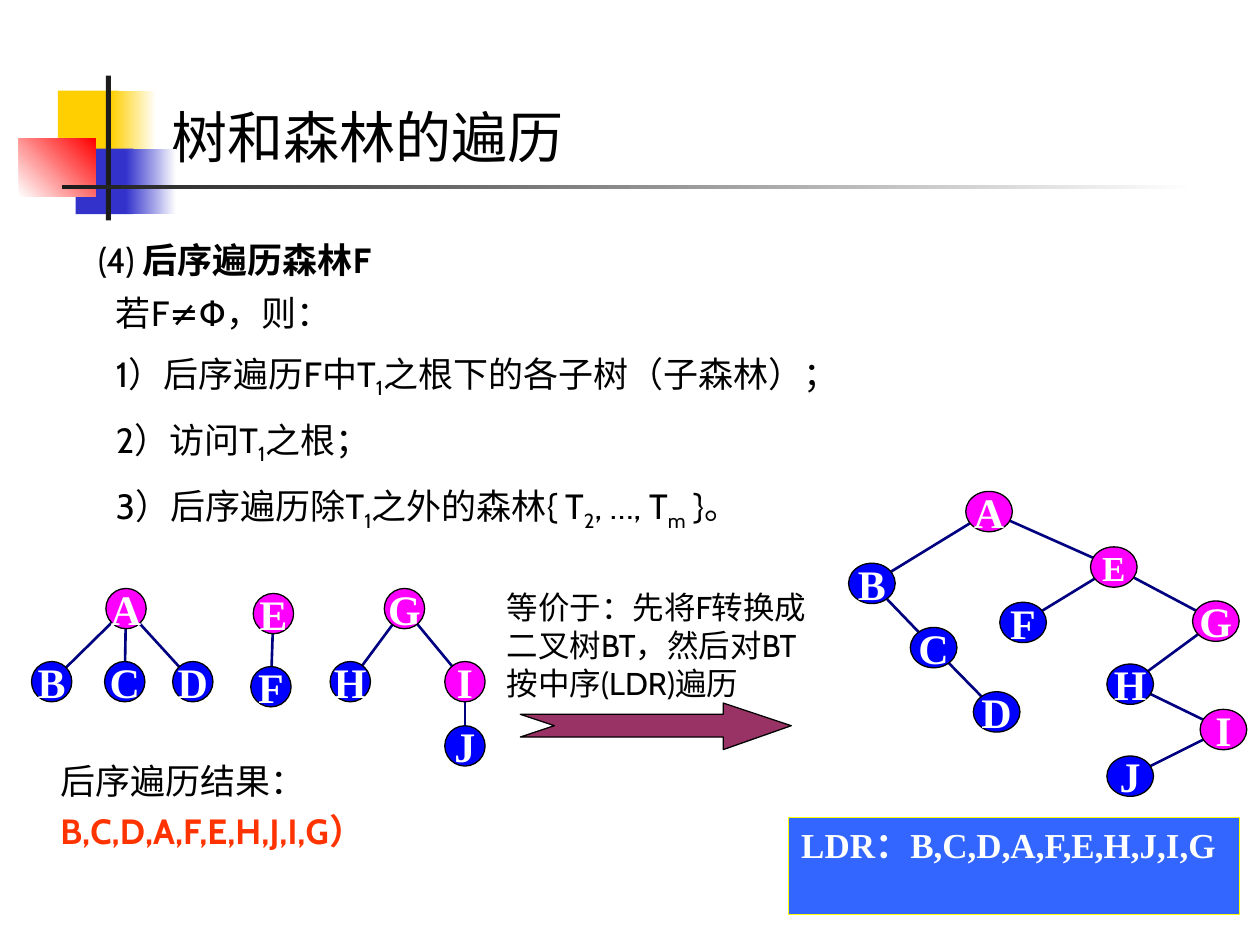
"""Build the slide on post-order traversal of a forest."""
import pptx
import pptx.util
import pptx.dml.color
import pptx.enum.shapes
import pptx.enum.text
import pptx.oxml.ns
import lxml.etree

Inches = pptx.util.Inches
Pt = pptx.util.Pt
MSO = pptx.enum.shapes.MSO_SHAPE
PP = pptx.enum.text.PP_ALIGN
ANCHOR = pptx.enum.text.MSO_ANCHOR


def rgb(value):
    """Return the colour of a hex string."""
    return pptx.dml.color.RGBColor.from_string(value)


def add_run(p, text, size, font="Cabin", color="000000", bold=False, sub=False):
    """Add one formatted run to a paragraph."""
    r = p.add_run()
    r.text = text
    r.font.size = Pt(size)
    r.font.name = font
    r.font.bold = bold
    r.font.color.rgb = rgb(color)
    if sub:
        r.font._element.set("baseline", "-25000")


prs = pptx.Presentation()
prs.slide_width, prs.slide_height = Inches(10), Inches(7.5)
slide = prs.slides.add_slide(prs.slide_layouts[1])
shapes = slide.shapes
title, body = slide.placeholders

decor = [
    (0.46, 0.72, 0.48, 0.52, "FFCF01", None, 0),
    (0.88, 0.72, 0.36, 0.52, "FFCF01", "FFFFFF", 0),
    (0.6, 1.18, 0.46, 0.52, "3333CC", None, 0),
    (1, 1.18, 0.4, 0.52, "3333CC", "FFFFFF", 0),
    (0.15, 1.1, 0.61, 0.46, "FFFFFF", "FF0000", 45),
    (0.84, 0.6, 0.04, 1.15, "1C1C1C", None, 0),
    (0.49, 1.47, 9, 0.03, "1C1C1C", "FFFFFF", 0),
]
for x, y, w, h, start, end, angle in decor:
    sp = shapes.add_shape(MSO.RECTANGLE, Inches(x), Inches(y), Inches(w), Inches(h))
    sp.shadow.inherit = False
    sp.line.fill.background()
    if end:
        sp.fill.gradient()
        sp.fill.gradient_angle = angle
        for stop, color, pos in zip(sp.fill.gradient_stops, (start, end), (0, 1)):
            stop.color.rgb = rgb(color)
            stop.position = pos
    else:
        sp.fill.solid()
        sp.fill.fore_color.rgb = rgb(start)

for sp, box in ((title, (1.26, 0.76, 8.74, 0.64)), (body, (0.82, 2.2, 8.69, 2.07))):
    sp.left, sp.top, sp.width, sp.height = [Inches(v) for v in box]
    sp.text_frame.auto_size = pptx.enum.text.MSO_AUTO_SIZE.NONE
    sp.text_frame.vertical_anchor = ANCHOR.TOP
p = title.text_frame.paragraphs[0]
p.alignment = PP.LEFT
add_run(p, "树和森林的遍历", 32, "Noto Sans CJK JP")

steps = [
    ["若F≠Φ，则："],
    ["1）后序遍历F中T", "1", "之根下的各子树（子森林）；"],
    ["2）访问T", "1", "之根；"],
    ["3）后序遍历除T", "1", "之外的森林{ T", "2", ", …, T", "m", " }。"],
]
tf = body.text_frame
for i, parts in enumerate(steps):
    p = tf.add_paragraph() if i else tf.paragraphs[0]
    pPr = p._p.get_or_add_pPr()
    pPr.set("marL", "0")
    pPr.set("indent", "0")
    lxml.etree.SubElement(pPr, pptx.oxml.ns.qn("a:buNone"))
    p.line_spacing = 1.2
    p.space_before = Pt(5 if i else 0)
    for j, part in enumerate(parts):
        add_run(p, part, 20, sub=j % 2 == 1)

texts = [
    (0.68, 1.84, 4.75, 0.44, 0.1, 1, 20, [("(4) ", "000000", False), ("后序遍历森林F", "000000", True)]),
    (0.38, 5.91, 4.21, 0.9, 0.1, 1.2, 20,
     [("后序遍历结果：", "000000", False), ("B,C,D,A,F,E,H,J,I,G）", "FF3300", True)]),
    (4.02, 4.67, 2.48, 0.9, 0, 1, 18,
     [("等价于：先将F转换成二叉树BT，然后对BT按中序(LDR)遍历", "000000", False)]),
]
for x, y, w, h, inset, spacing, size, runs in texts:
    tf = shapes.add_textbox(Inches(x), Inches(y), Inches(w), Inches(h)).text_frame
    tf.word_wrap = True
    tf.margin_left = tf.margin_right = Inches(inset)
    tf.margin_top = tf.margin_bottom = Inches(inset / 2)
    p = tf.paragraphs[0]
    p.line_spacing = spacing
    for text, color, bold in runs:
        add_run(p, text, size, color=color, bold=bold)

forest = {
    "A": (1, 4.83), "B": (0.41, 5.41), "C": (0.99, 5.41), "D": (1.53, 5.41),
    "E": (2.17, 4.87), "F": (2.15, 5.45), "G": (3.21, 4.83),
    "H": (2.78, 5.41), "I": (3.69, 5.41), "J": (3.69, 5.92),
}
binary = {
    "A": (7.85, 4.06), "B": (6.92, 4.63), "C": (7.41, 5.14), "D": (7.91, 5.65),
    "E": (8.84, 4.5), "F": (8.12, 4.94), "G": (9.65, 4.93),
    "H": (8.97, 5.43), "I": (9.71, 5.79), "J": (8.97, 6.16),
}
trees = [
    (forest, "AB AC AD EF GH GI IJ", 0.32),
    (binary, "AB BC CD AE EF EG GH HI IJ", 0.37),
]
for nodes, edges, width in trees:
    for a, b in edges.split():
        ends = [Inches(v) for v in nodes[a] + nodes[b]]
        line = shapes.add_connector(pptx.enum.shapes.MSO_CONNECTOR.STRAIGHT, *ends)
        line.line.color.rgb = rgb("000080")
        line.line.width = Pt(1.5)
        lxml.etree.SubElement(line._element.spPr, pptx.oxml.ns.qn("a:effectLst"))
    for name, (x, y) in nodes.items():
        sp = shapes.add_shape(MSO.OVAL, Inches(x - width / 2), Inches(y - 0.16), Inches(width), Inches(0.32))
        sp.shadow.inherit = False
        sp.fill.solid()
        sp.fill.fore_color.rgb = rgb("FF00FF" if name in "AEGI" else "0000FF")
        sp.line.color.rgb = rgb("000000")
        sp.line.width = Pt(0.75)
        tf = sp.text_frame
        tf.word_wrap = False
        tf.vertical_anchor = ANCHOR.MIDDLE
        p = tf.paragraphs[0]
        p.alignment = PP.CENTER
        size = 20 if nodes is binary and name == "E" else 24
        add_run(p, name, size, "Times New Roman", "FFFFFF", True)

points = [(4.13, 5.67), (5.74, 5.67), (5.74, 5.58), (6.28, 5.76),
          (5.74, 5.95), (5.74, 5.85), (4.13, 5.85), (4.4, 5.76)]
points = [(Inches(x), Inches(y)) for x, y in points]
outline = shapes.build_freeform(*points[0])
outline.add_line_segments(points[1:], close=True)
arrow = outline.convert_to_shape()
result = shapes.add_shape(MSO.RECTANGLE, Inches(6.26), Inches(6.49), Inches(3.58), Inches(0.77))
for sp, fill, border in ((arrow, "993366", "000000"), (result, "3366FF", "FFFF00")):
    sp.shadow.inherit = False
    sp.fill.solid()
    sp.fill.fore_color.rgb = rgb(fill)
    sp.line.color.rgb = rgb(border)
    sp.line.width = Pt(0.75)
tf = result.text_frame
tf.word_wrap = True
tf.vertical_anchor = ANCHOR.TOP
p = tf.paragraphs[0]
p.alignment = PP.LEFT
add_run(p, "LDR：B,C,D,A,F,E,H,J,I,G", 20, "Times New Roman", "FFFFFF", True)

prs.save("out.pptx")
